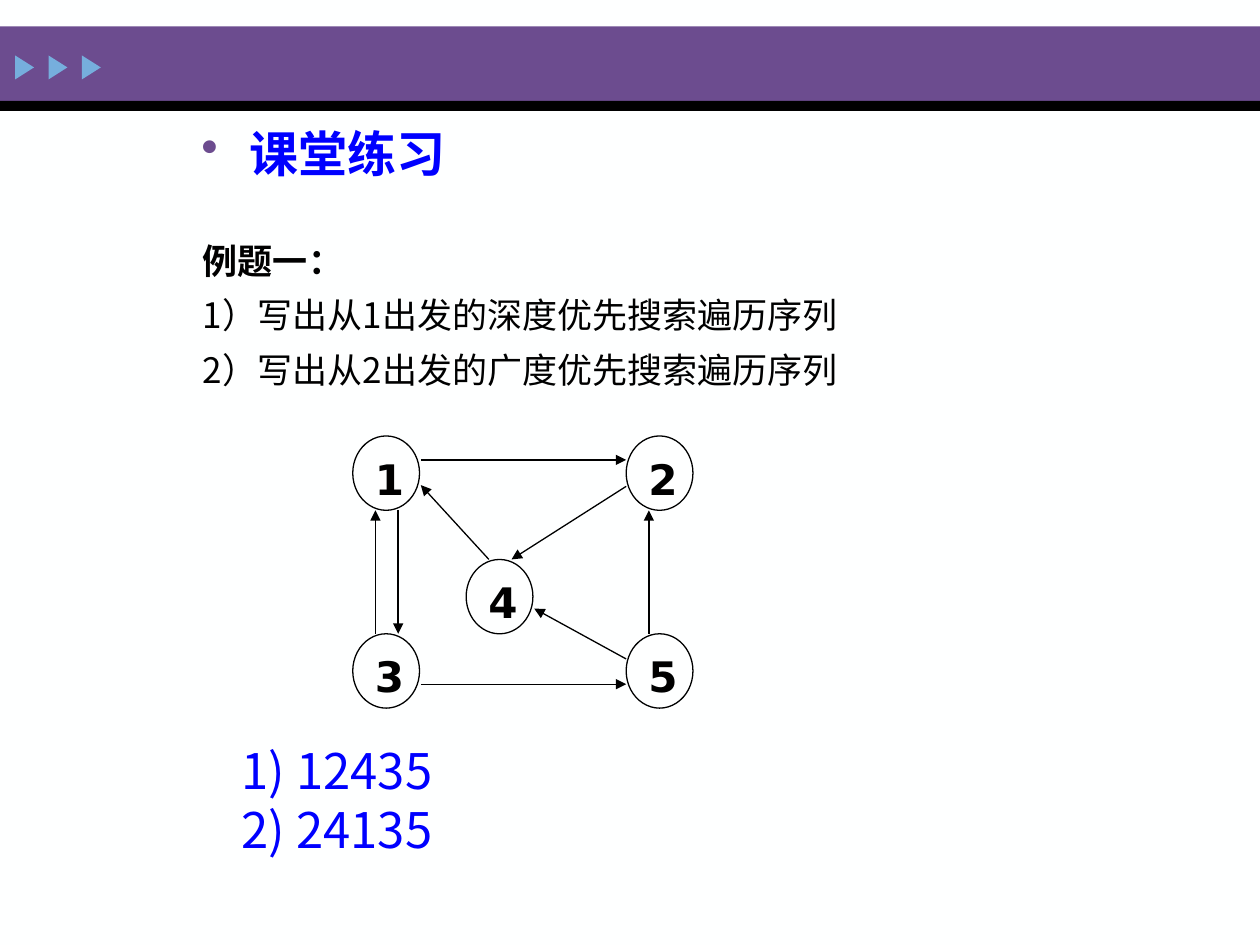
from lxml import etree
from pptx import Presentation
from pptx.dml.color import RGBColor
from pptx.enum.shapes import MSO_CONNECTOR, MSO_SHAPE
from pptx.enum.text import MSO_ANCHOR, PP_ALIGN
from pptx.oxml.ns import qn
from pptx.util import Inches, Pt

RECTANGLE = MSO_SHAPE.RECTANGLE
TRIANGLE = MSO_SHAPE.ISOSCELES_TRIANGLE
OVAL = MSO_SHAPE.OVAL
STRAIGHT = MSO_CONNECTOR.STRAIGHT
TOP, MIDDLE = MSO_ANCHOR.TOP, MSO_ANCHOR.MIDDLE
LEFT = PP_ALIGN.LEFT

CJK_FONT, NODE_FONT = "Noto Sans CJK SC", "DejaVu Sans"
PURPLE, LIGHT_BLUE, BLUE, BLACK = "6C4C8F", "76AEDD", "0000FF", "000000"
NODE_WIDTH, NODE_HEIGHT = 0.53, 0.59

NODES = {"1": (2.8, 3.46), "2": (4.97, 3.46), "3": (2.8, 5.03),
         "4": (3.7, 4.44), "5": (4.97, 5.03)}
EDGES = [  # start x, start y, end x, end y
    (3.34, 3.65, 4.97, 3.65),  # 1 to 2
    (3.16, 4.05, 3.16, 5.03),  # 1 to 3
    (4.97, 3.86, 4.06, 4.44),  # 2 to 4
    (2.98, 5.03, 2.98, 4.05),  # 3 to 1
    (3.34, 5.43, 4.97, 5.43),  # 3 to 5
    (3.88, 4.44, 3.34, 3.85),  # 4 to 1
    (5.15, 5.03, 5.15, 4.05),  # 5 to 2
    (4.97, 5.23, 4.24, 4.83),  # 5 to 4
]


def color(hex_code):
    return RGBColor.from_string(hex_code)


def style_paragraph(paragraph, size, hex_code, font=CJK_FONT, bold=False):
    for run in paragraph.runs:
        run.font.size = Pt(size)
        run.font.bold = bold
        run.font.name = font
        run.font.color.rgb = color(hex_code)
        east_asian = etree.SubElement(run.font._element, qn("a:ea"))
        east_asian.set("typeface", font)


def add_filled(slide, preset, left, top, width, height, hex_code):
    shape = slide.shapes.add_shape(
        preset, Inches(left), Inches(top), Inches(width), Inches(height))
    shape.shadow.inherit = False
    shape.fill.solid()
    shape.fill.fore_color.rgb = color(hex_code)
    shape.line.fill.background()
    return shape


def add_header(slide):
    add_filled(slide, RECTANGLE, 0, 0.21, 10, 0.59, PURPLE)
    add_filled(slide, RECTANGLE, 0, 0.8, 10, 0.08, BLACK)
    for index in range(3):
        marker = add_filled(slide, TRIANGLE, 0.1 + 0.265 * index, 0.46,
                            0.19, 0.15, LIGHT_BLUE)
        marker.rotation = 90


def add_text(slide, left, top, width, height, text, line_spacing=1.0):
    box = slide.shapes.add_textbox(
        Inches(left), Inches(top), Inches(width), Inches(height))
    frame = box.text_frame
    frame.word_wrap = True
    frame.text = text
    for paragraph in frame.paragraphs:
        paragraph.line_spacing = line_spacing
    return frame


def add_bullet(paragraph, hex_code, indent):
    properties = paragraph._p.get_or_add_pPr()
    properties.set("marL", str(Inches(indent)))
    properties.set("indent", str(-Inches(indent)))
    bullet_color = etree.SubElement(properties, qn("a:buClr"))
    etree.SubElement(bullet_color, qn("a:srgbClr")).set("val", hex_code)
    etree.SubElement(properties, qn("a:buChar")).set("char", "•")


def add_title(slide):
    frame = add_text(slide, 1.5, 0.87, 5.71, 0.59, "课堂练习", 1.2)
    frame.vertical_anchor = MIDDLE
    heading = frame.paragraphs[0]
    add_bullet(heading, PURPLE, 0.38)
    style_paragraph(heading, 28, BLUE, bold=True)


def add_exercise(slide):
    questions = ("例题一：\n"
                 "1）写出从1出发的深度优先搜索遍历序列\n"
                 "2）写出从2出发的广度优先搜索遍历序列")
    frame = add_text(slide, 1.44, 1.67, 6.31, 1.5, questions, 1.3)
    frame.margin_left = Inches(0.17)
    frame.margin_top = Inches(0.13)
    for index, paragraph in enumerate(frame.paragraphs):
        style_paragraph(paragraph, 20, BLACK, bold=index == 0)


def add_answers(slide):
    frame = add_text(slide, 1.82, 5.83, 2.32, 0.71, "1) 12435\n2) 24135")
    for paragraph in frame.paragraphs:
        style_paragraph(paragraph, 28, BLUE)


def add_node(slide, label, left, top):
    node = slide.shapes.add_shape(
        OVAL, Inches(left), Inches(top), Inches(NODE_WIDTH), Inches(NODE_HEIGHT))
    node.shadow.inherit = False
    node.fill.background()
    node.line.color.rgb = color(BLACK)
    node.line.width = Pt(0.75)
    frame = node.text_frame
    frame.text = label
    frame.vertical_anchor = TOP
    frame.paragraphs[0].alignment = LEFT
    style_paragraph(frame.paragraphs[0], 24, BLACK, NODE_FONT, bold=True)


def add_edge(slide, start_x, start_y, end_x, end_y):
    edge = slide.shapes.add_connector(
        STRAIGHT, Inches(start_x), Inches(start_y), Inches(end_x), Inches(end_y))
    edge.line.color.rgb = color(BLACK)
    edge.line.width = Pt(0.75)
    arrowhead = etree.SubElement(edge.line._get_or_add_ln(), qn("a:tailEnd"))
    arrowhead.set("type", "triangle")
    etree.SubElement(edge._element.spPr, qn("a:effectLst"))


def main():
    presentation = Presentation()
    presentation.slide_width = Inches(10)
    presentation.slide_height = Inches(7.5)
    slide = presentation.slides.add_slide(presentation.slide_layouts[6])
    slide.background.fill.solid()
    slide.background.fill.fore_color.rgb = color("FEFFFF")

    add_header(slide)
    add_title(slide)
    add_exercise(slide)
    for label, (left, top) in NODES.items():
        add_node(slide, label, left, top)
    for edge in EDGES:
        add_edge(slide, *edge)
    add_answers(slide)
    presentation.save("out.pptx")


if __name__ == "__main__":
    main()
